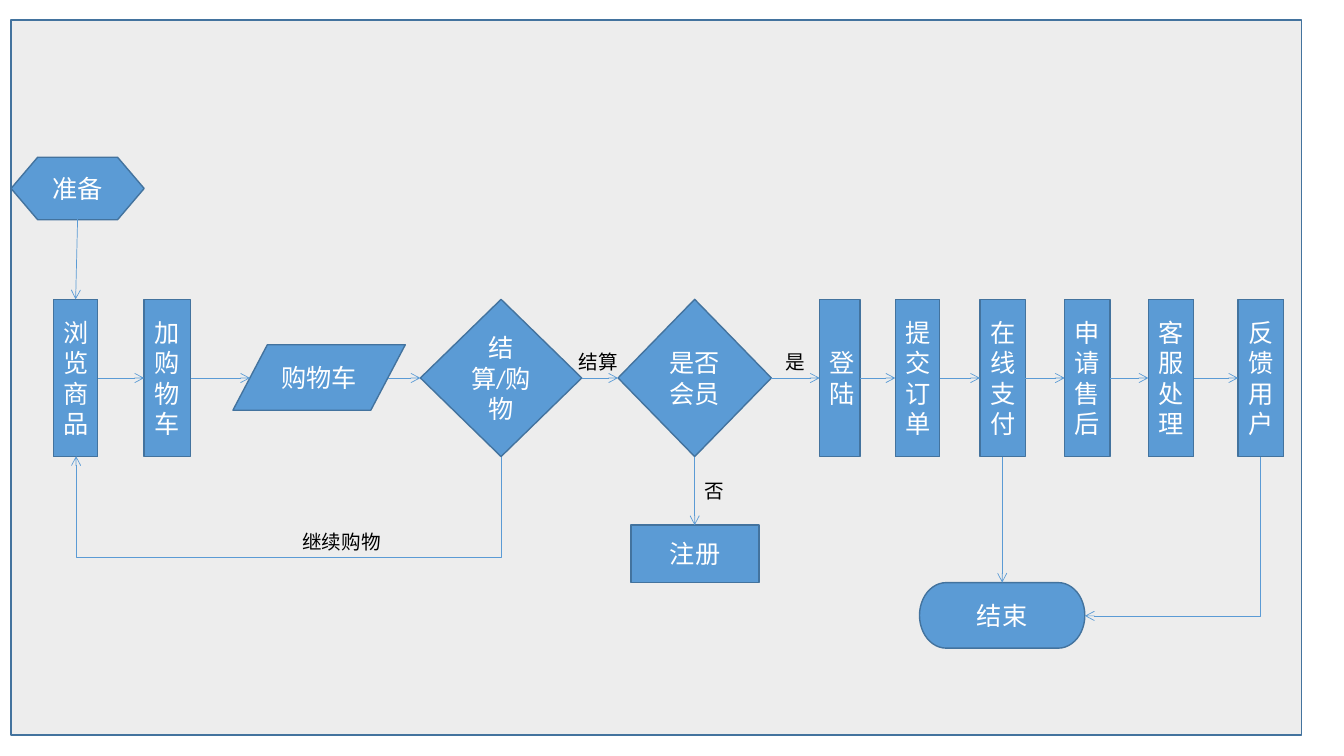
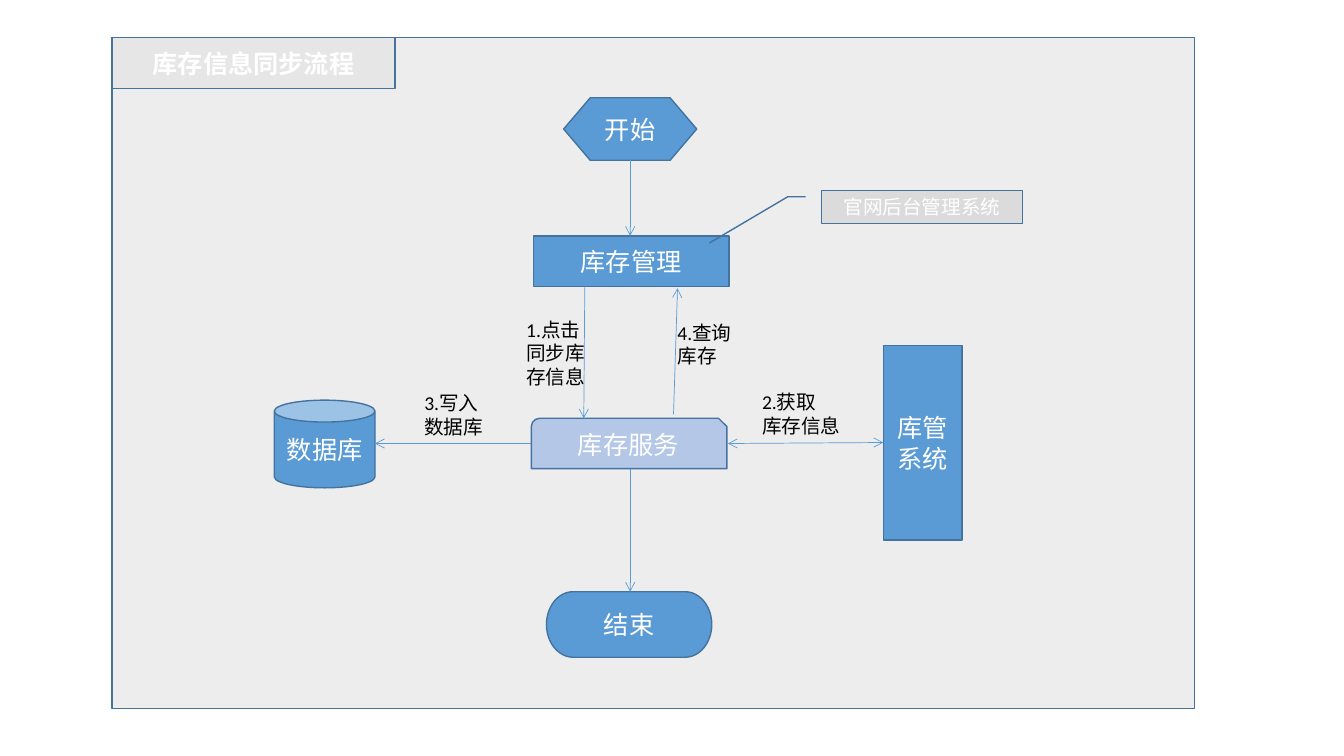
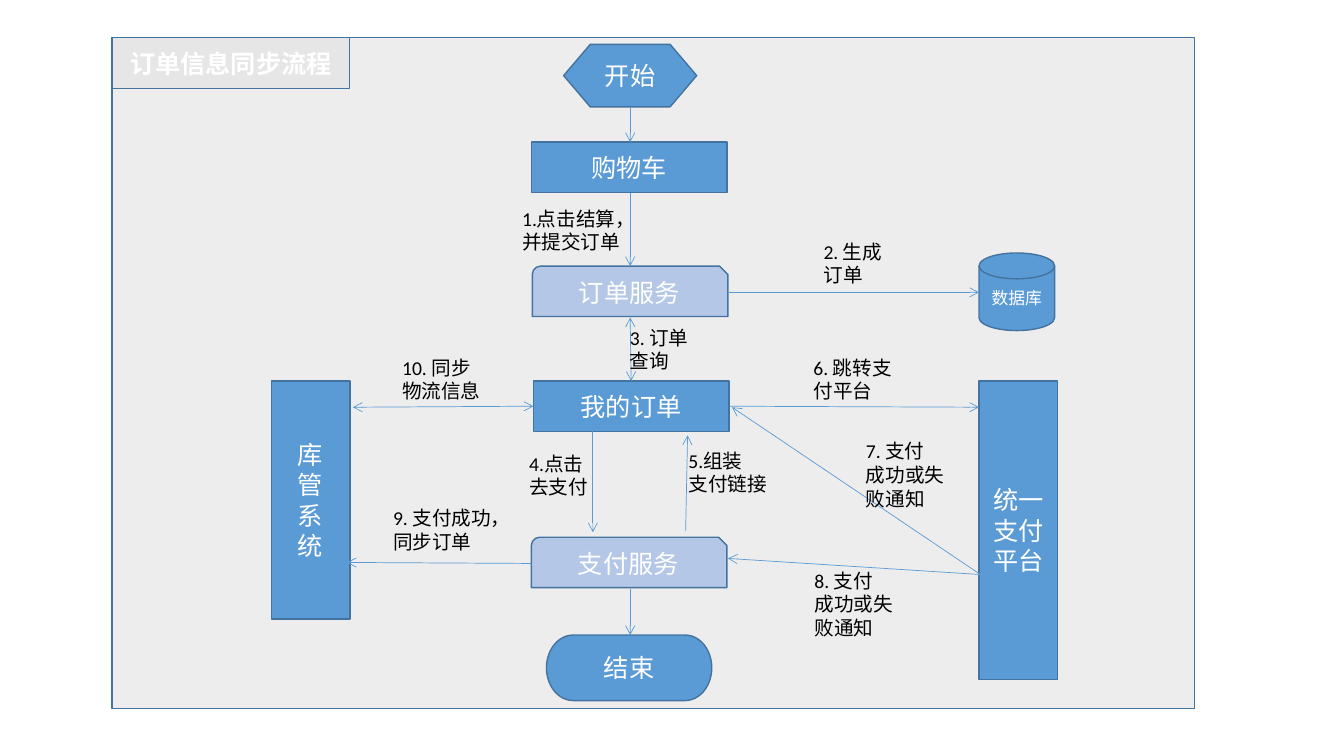
from lxml.etree import SubElement
from pptx import Presentation
from pptx.dml.color import RGBColor
from pptx.enum.shapes import MSO_CONNECTOR, MSO_SHAPE
from pptx.enum.text import MSO_AUTO_SIZE, PP_ALIGN
from pptx.oxml.ns import qn
from pptx.util import Inches, Pt

COLORS = {
    "frame": "EDEDED",
    "title": "E7E6E6",
    "note": "DBDBDB",
    "step": "5B9BD5",
    "service": "B4C7E7",
    "outline": "43739E",
    "light": "FFFFFF",
    "dark": "000000",
}
FONT = "Calibri"
STEP_TOP, STEP_HEIGHT = 2.97, 1.56
STEP_MIDDLE, STEP_BOTTOM = STEP_TOP + STEP_HEIGHT / 2, STEP_TOP + STEP_HEIGHT


def color(name):
    """Return the named colour of the palette."""
    return RGBColor.from_string(COLORS[name])


def write_text(shape, text, size=18, ink="light", bold=False, align=PP_ALIGN.CENTER):
    """Write one paragraph for each line of the text."""
    frame = shape.text_frame
    frame.word_wrap = True
    for index, line in enumerate(text.split("\n")):
        paragraph = frame.add_paragraph() if index else frame.paragraphs[0]
        paragraph.alignment = align
        run = paragraph.add_run()
        run.text = line
        run.font.name = FONT
        run.font.size = Pt(size)
        run.font.bold = bold
        run.font.color.rgb = color(ink)


def add_box(slide, kind, left, top, width, height, text="", fill="step", **text_format):
    """Add an outlined preset shape with centred text."""
    shape = slide.shapes.add_shape(
        kind, Inches(left), Inches(top), Inches(width), Inches(height))
    shape.shadow.inherit = False
    shape.fill.solid()
    shape.fill.fore_color.rgb = color(fill)
    shape.line.color.rgb = color("outline")
    shape.line.width = Pt(1)
    if text:
        write_text(shape, text, **text_format)
    return shape


def add_start(slide, left, top, text):
    """Add the hexagon that opens a flow."""
    add_box(slide, MSO_SHAPE.FLOWCHART_PREPARATION, left, top, 1.32, 0.62, text)


def add_end(slide, left, top):
    """Add the rounded box that closes a flow."""
    add_box(slide, MSO_SHAPE.FLOWCHART_TERMINATOR, left, top, 1.64, 0.65, "结束")


def add_process(slide, left, top, text):
    """Add a wide process box."""
    add_box(slide, MSO_SHAPE.FLOWCHART_PROCESS, left, top, 1.94, 0.5, text)


def add_service(slide, left, top, text):
    """Add a pale service box with a snipped corner."""
    add_box(slide, MSO_SHAPE.SNIP_ROUND_RECTANGLE, left, top, 1.94, 0.5, text,
            fill="service")


def add_system(slide, left, top, height, text):
    """Add the tall box of an outside system."""
    add_box(slide, MSO_SHAPE.RECTANGLE, left, top, 0.78, height, text)


def add_label(slide, left, top, width, height, text):
    """Add a caption beside an arrow."""
    label = slide.shapes.add_textbox(
        Inches(left), Inches(top), Inches(width), Inches(height))
    label.text_frame.auto_size = MSO_AUTO_SIZE.SHAPE_TO_FIT_TEXT
    write_text(label, text, size=14, ink="dark", align=PP_ALIGN.LEFT)


def style_arrow(connector, both_ends=False):
    """Give a connector its thin line and open arrowheads."""
    connector.line.color.rgb = color("step")
    connector.line.width = Pt(0.5)
    line = connector.line._get_or_add_ln()
    for end in ("a:headEnd", "a:tailEnd") if both_ends else ("a:tailEnd",):
        SubElement(line, qn(end)).set("type", "arrow")
    SubElement(connector._element.spPr, qn("a:effectLst"))


def add_arrow(slide, start_x, start_y, end_x, end_y, both_ends=False):
    """Add a straight arrow."""
    connector = slide.shapes.add_connector(
        MSO_CONNECTOR.STRAIGHT,
        Inches(start_x), Inches(start_y), Inches(end_x), Inches(end_y))
    style_arrow(connector, both_ends)


def add_elbow(slide, left, top, width, height, preset, flip=False, bend=None):
    """Add a bent arrow turned by a quarter; bend is a multiple of its width."""
    connector = slide.shapes.add_connector(
        MSO_CONNECTOR.ELBOW, Inches(left), Inches(top),
        Inches(left + width), Inches(top + height))
    properties = connector._element.spPr
    transform = properties.find(qn("a:xfrm"))
    transform.set("rot", str(90 * 60000))
    if flip:
        transform.set("flipH", "1")
    geometry = properties.find(qn("a:prstGeom"))
    geometry.set("prst", preset)
    if bend is not None:
        guide = SubElement(geometry.find(qn("a:avLst")), qn("a:gd"))
        guide.set("name", "adj1")
        guide.set("fmla", f"val {round(bend * 100000)}")
    style_arrow(connector)


def add_titled_frame(slide, title, title_width):
    """Add the grey panel with its title tab."""
    add_box(slide, MSO_SHAPE.RECTANGLE, 1.11, 0.37, 10.74, 6.66, fill="frame")
    add_box(slide, MSO_SHAPE.RECTANGLE, 1.11, 0.37, title_width, 0.51, title,
            fill="title", bold=True)


def build_shopping(slide):
    """Draw the shopping flow from browsing to feedback."""
    add_box(slide, MSO_SHAPE.RECTANGLE, 0.11, 0.2, 12.8, 7.09, fill="frame")
    add_start(slide, 0.11, 1.56, "准备")
    steps = [
        (0.53, 0.44, "浏览商品"), (1.43, 0.46, "加购物车"), (8.13, 0.4, "登陆"),
        (8.88, 0.44, "提交订单"), (9.72, 0.45, "在线支付"), (10.56, 0.45, "申请售后"),
        (11.39, 0.45, "客服处理"), (12.28, 0.45, "反馈用户"),
    ]
    decisions = [(4.17, 1.6, "结算/购物"), (6.13, 1.52, "是否会员")]
    for kind, items in ((MSO_SHAPE.FLOWCHART_PROCESS, steps),
                        (MSO_SHAPE.FLOWCHART_DECISION, decisions)):
        for left, width, text in items:
            add_box(slide, kind, left, STEP_TOP, width, STEP_HEIGHT, text)
    add_box(slide, MSO_SHAPE.FLOWCHART_DATA, 2.31, 3.42, 1.71, 0.65, "购物车")
    cart_edges = (2.48, 3.85)
    edges = sorted([(left, left + width) for left, width, _ in steps + decisions]
                   + [cart_edges])
    for (_, right), (next_left, _) in zip(edges, edges[1:]):
        add_arrow(slide, right, STEP_MIDDLE, next_left, STEP_MIDDLE)

    add_box(slide, MSO_SHAPE.FLOWCHART_PROCESS, 6.26, 5.21, 1.27, 0.57, "注册")
    add_end(slide, 9.12, 5.78)
    add_arrow(slide, 0.77, 2.17, 0.75, STEP_TOP)
    add_arrow(slide, 6.89, STEP_BOTTOM, 6.89, 5.21)
    add_arrow(slide, 9.94, STEP_BOTTOM, 9.94, 5.78)
    add_elbow(slide, 2.86, 2.42, 0.01, 4.22, "bentConnector3", flip=True, bend=-101)
    add_elbow(slide, 10.84, 4.45, 1.58, 1.74, "bentConnector2")
    for label in [
        (2.9, 5.21, 1.56, 0.33, "继续购物"), (5.64, 3.42, 0.83, 0.33, "结算"),
        (7.69, 3.42, 0.83, 0.33, "是"), (6.89, 4.7, 0.63, 0.33, "否"),
    ]:
        add_label(slide, *label)


def build_stock(slide):
    """Draw the stock synchronisation flow."""
    add_titled_frame(slide, "库存信息同步流程", 2.81)
    add_start(slide, 5.59, 0.97, "开始")
    add_process(slide, 5.29, 2.34, "库存管理")
    add_service(slide, 5.27, 4.15, "库存服务")
    add_end(slide, 5.42, 5.87)
    add_system(slide, 8.76, 3.43, 1.93, "库管系统")
    add_box(slide, MSO_SHAPE.CAN, 2.72, 3.97, 1, 0.87, "数据库")
    callout = add_box(slide, MSO_SHAPE.LINE_CALLOUT_2, 8.15, 1.89, 1.99, 0.33,
                      "官网后台管理系统", fill="note", size=14)
    for index, value in enumerate((0.19, -0.08, 0.19, -0.17, 1.58, -0.56)):
        callout.adjustments[index] = value
    for arrow in [
        (6.25, 1.59, 6.25, 2.34), (5.8, 2.85, 5.79, 4.15), (6.25, 4.65, 6.25, 5.87),
        (7.22, 4.4, 8.76, 4.39, True), (5.27, 4.4, 3.72, 4.4),
        (6.68, 4.11, 6.72, 2.86),
    ]:
        add_arrow(slide, *arrow)
    for label in [
        (5.12, 3.1, 0.83, 0.8, "1.点击\n同步库存信息"),
        (7.46, 3.82, 1.06, 0.57, "2.获取\n库存信息"),
        (4.11, 3.83, 0.85, 0.57, "3.写入\n数据库"),
        (6.62, 3.13, 0.85, 0.57, "4.查询\n库存"),
    ]:
        add_label(slide, *label)


def build_order(slide):
    """Draw the order synchronisation flow."""
    add_titled_frame(slide, "订单信息同步流程", 2.36)
    add_start(slide, 5.59, 0.44, "开始")
    add_process(slide, 5.27, 1.41, "购物车")
    add_service(slide, 5.28, 2.64, "订单服务")
    add_process(slide, 5.29, 3.78, "我的订单")
    add_service(slide, 5.27, 5.33, "支付服务")
    add_end(slide, 5.42, 6.3)
    add_system(slide, 9.71, 3.78, 2.96, "统一支付平台")
    add_system(slide, 2.69, 3.78, 2.36, "库\n管\n系\n统")
    add_box(slide, MSO_SHAPE.FLOWCHART_MAGNETIC_DISK, 9.71, 2.51, 0.75, 0.77,
            "数据库", size=12)
    for arrow in [
        (6.25, 1.06, 6.25, 1.41), (6.25, 1.91, 6.25, 2.64),
        (6.25, 3.15, 6.26, 3.78, True), (5.88, 4.25, 5.88, 5.28),
        (6.8, 5.27, 6.82, 4.32), (6.25, 5.84, 6.25, 6.3),
        (7.23, 2.9, 9.71, 2.9), (7.24, 4.03, 9.71, 4.04),
        (9.74, 5.71, 7.26, 4.04), (9.73, 5.7, 7.22, 5.54),
        (5.27, 5.59, 3.44, 5.58), (5.29, 4.03, 3.5, 4.04, True),
    ]:
        add_arrow(slide, *arrow)
    for label in [
        (5.08, 2, 1.34, 0.57, "1.点击结算，并提交订单"),
        (8.07, 2.33, 1.03, 0.57, "2. 生成\n订单"),
        (6.15, 3.18, 1.03, 0.57, "3. 订单\n查询"),
        (5.15, 4.43, 0.83, 0.57, "4.点击\n去支付"),
        (6.73, 4.4, 1, 0.57, "5.组装\n支付链接"),
        (7.97, 3.48, 1.03, 0.57, "6. 跳转支付平台"),
        (8.49, 4.31, 1.03, 0.8, "7. 支付\n成功或失败通知"),
        (7.98, 5.59, 1.03, 0.8, "8. 支付\n成功或失败通知"),
        (3.8, 4.97, 1.2, 0.57, "9. 支付成功，同步订单"),
        (3.89, 3.48, 1.2, 0.57, "10. 同步\n物流信息"),
    ]:
        add_label(slide, *label)


def main():
    """Build the three flow charts and save them."""
    presentation = Presentation()
    presentation.slide_width = Inches(13.33)
    presentation.slide_height = Inches(7.5)
    for build in (build_shopping, build_stock, build_order):
        build(presentation.slides.add_slide(presentation.slide_layouts[6]))
    presentation.save("out.pptx")


main()
